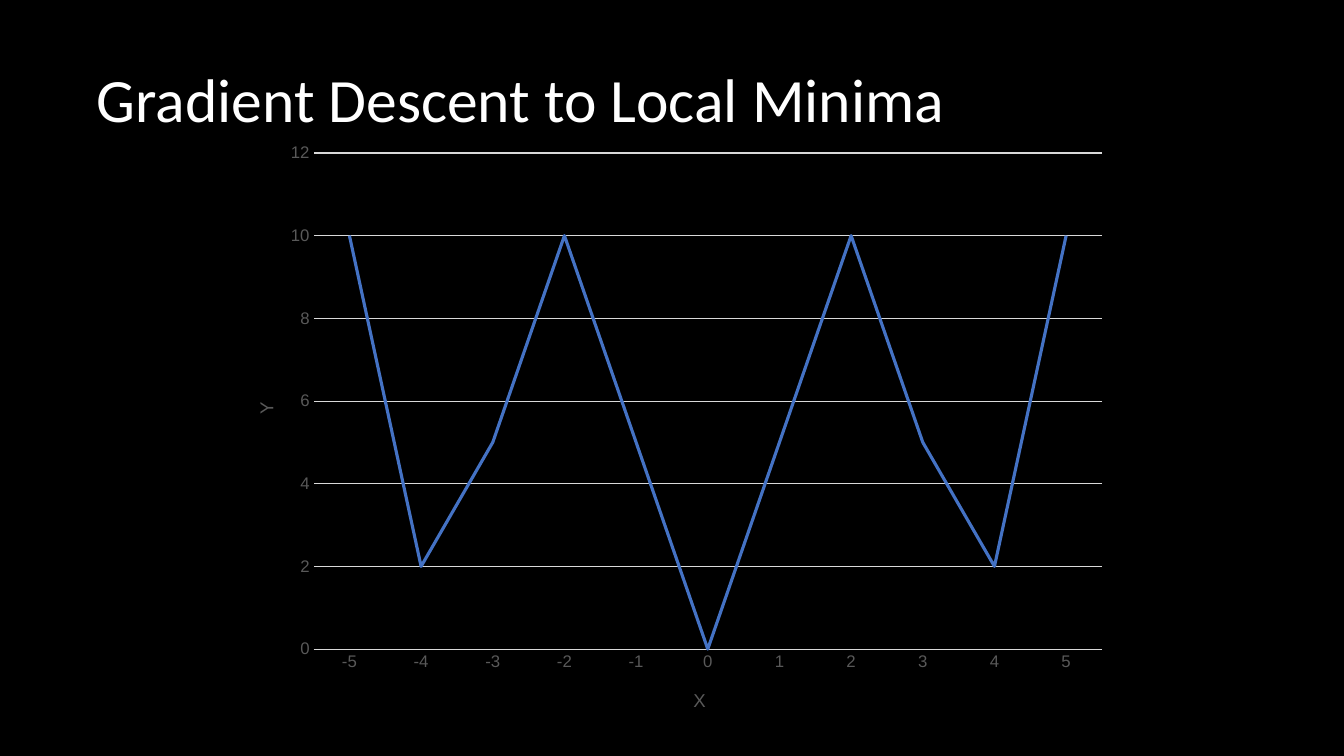
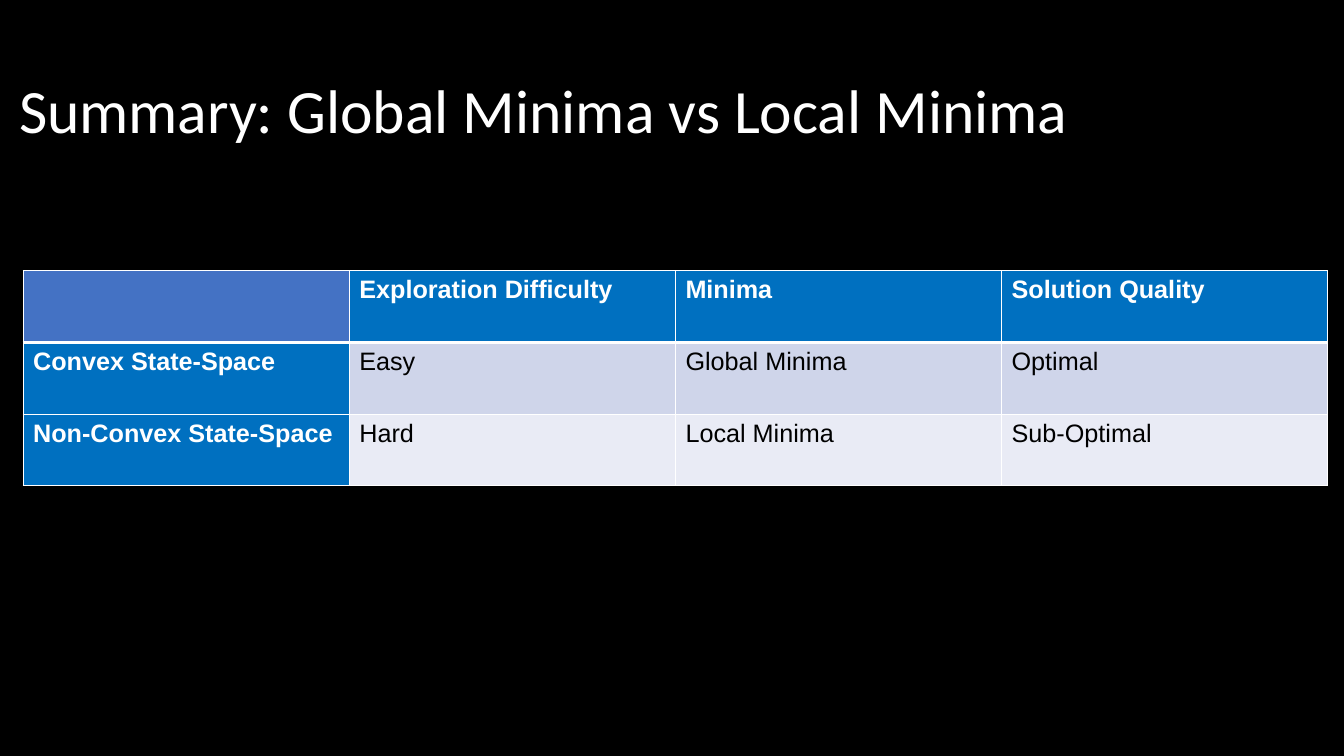
"""Builds two dark slides on local and global minima: a line chart and a table."""
import dataclasses

import lxml.etree
import pptx
import pptx.chart.data
import pptx.dml.color
import pptx.enum.chart
import pptx.enum.text
import pptx.oxml
import pptx.oxml.ns
import pptx.util

Pt = pptx.util.Pt
qn = pptx.oxml.ns.qn


@dataclasses.dataclass(frozen=True)
class Theme:
    background: str = "000000"
    light: str = "FFFFFF"
    dark: str = "000000"
    blue: str = "4472C4"
    header: str = "0070C0"
    bands: tuple = ("CFD5EA", "E9EBF5")
    axis_text: str = "595959"
    grid: str = "D9D9D9"
    title_font: str = "Calibri"
    body_font: str = "Arial"
    title_size: float = 44
    table_size: float = 18
    axis_title_size: float = 13.3
    tick_size: float = 12


def rgb(color):
    return pptx.dml.color.RGBColor.from_string(color)


def set_font(font, name, size, color, bold=False):
    font.name = name
    font.size = Pt(size)
    font.bold = bold
    font.color.rgb = rgb(color)


def set_text(tf, text, *, font, size, color, bold=False, spacing=None):
    p = tf.paragraphs[0]
    p.line_spacing = spacing
    r = p.add_run()
    r.text = text
    set_font(r.font, font, size, color, bold)


def set_line(line, color, width):
    line.color.rgb = rgb(color)
    line.width = Pt(width)


def set_layout(element, index, **values):
    for old in element.findall(qn("c:layout")):
        element.remove(old)
    layout = lxml.etree.Element(qn("c:layout"))
    manual = lxml.etree.SubElement(layout, qn("c:manualLayout"))
    for tag, value in values.items():
        lxml.etree.SubElement(manual, qn(f"c:{tag}")).set("val", str(value))
    element.insert(index, layout)


def set_border(cell, side, color, width):
    tcPr = cell._tc.get_or_add_tcPr()
    ln = lxml.etree.SubElement(tcPr, qn(f"a:ln{side}"), w=str(Pt(width)))
    fill = lxml.etree.SubElement(ln, qn("a:solidFill"))
    lxml.etree.SubElement(fill, qn("a:srgbClr"), val=color)


class Deck:
    def __init__(self, theme):
        self.theme = theme
        self.prs = pptx.Presentation()
        self.prs.slide_width, self.prs.slide_height = Pt(960), Pt(540)
        self.s = None

    def slide(self, title, left, top, width, height=104.4):
        t = self.theme
        self.s = self.prs.slides.add_slide(self.prs.slide_layouts[6])
        self.s.background.fill.solid()
        self.s.background.fill.fore_color.rgb = rgb(t.background)
        sp = self.s.shapes.add_textbox(Pt(left), Pt(top), Pt(width), Pt(height))
        tf = sp.text_frame
        tf.word_wrap = True
        tf.vertical_anchor = pptx.enum.text.MSO_ANCHOR.MIDDLE
        set_text(tf, title, font=t.title_font, size=t.title_size,
                 color=t.light, spacing=0.9)

    def axis(self, axis, title, x, y):
        t = self.theme
        set_text(axis.axis_title.text_frame, title, font=t.body_font,
                 size=t.axis_title_size, color=t.axis_text)
        set_layout(axis.axis_title._element, 1,
                   xMode="edge", yMode="edge", x=x, y=y)
        axis.major_tick_mark = pptx.enum.chart.XL_TICK_MARK.NONE
        axis.minor_tick_mark = pptx.enum.chart.XL_TICK_MARK.NONE
        set_font(axis.tick_labels.font, t.body_font, t.tick_size, t.axis_text)

    def line_chart(self, left, top, width, height, categories, values):
        t = self.theme
        data = pptx.chart.data.CategoryChartData()
        data.categories = categories
        data.add_series("Series 1", values)
        chart = self.s.shapes.add_chart(
            pptx.enum.chart.XL_CHART_TYPE.LINE,
            Pt(left), Pt(top), Pt(width), Pt(height), data).chart
        chart.has_title = False
        chart.has_legend = False
        set_font(chart.font, t.body_font, 10, t.dark)
        set_layout(chart._chartSpace.chart.plotArea, 0, layoutTarget="inner",
                   xMode="edge", yMode="edge", x=0.1, y=0.03, w=0.88, h=0.83)
        chart.plots[0].vary_by_categories = False
        series = chart.plots[0].series[0]
        series.smooth = False
        set_line(series.format.line, t.blue, 2.25)

        self.axis(chart.category_axis, "X", 0.52, 0.92)
        set_line(chart.category_axis.format.line, t.grid, 0.75)

        value_axis = chart.value_axis
        self.axis(value_axis, "Y", 0.03, 0.44)
        value_axis.minimum_scale, value_axis.maximum_scale = 0, 12
        value_axis.major_unit = 2
        value_axis.format.line.fill.background()
        value_axis.has_major_gridlines = True
        set_line(value_axis.major_gridlines.format.line, t.grid, 0.75)

    def table(self, left, top, width, height, rows):
        t = self.theme
        table = self.s.shapes.add_table(
            len(rows), len(rows[0]), Pt(left), Pt(top), Pt(width), Pt(height)).table
        table.first_row = False
        table.horz_banding = False
        for i, row in enumerate(rows):
            for j, text in enumerate(row):
                cell = table.cell(i, j)
                heading = i == 0 or j == 0
                borders = {"L": 1, "R": 1, "T": 3 if i == 1 else 1,
                           "B": 3 if i == 0 else 1}
                for side, weight in borders.items():
                    set_border(cell, side, t.light, weight)
                fill = t.header if heading else t.bands[(i - 1) % 2]
                cell.fill.solid()
                cell.fill.fore_color.rgb = rgb(fill if text else t.blue)
                if text:
                    set_text(cell.text_frame, text, font=t.body_font,
                             size=t.table_size, bold=heading,
                             color=t.light if heading else t.dark)


def main():
    deck = Deck(Theme())

    deck.slide("Gradient Descent to Local Minima", 62, 21, 828)
    deck.line_chart(160, 96.5, 640, 427, [str(x) for x in range(-5, 6)],
                    [10, 2, 5, 10, 5, 0, 5, 10, 5, 2, 10])

    deck.slide("Summary: Global Minima vs Local Minima", 6.5, 28.8, 888)
    deck.table(16.5, 193.5, 932, 153.6, [
        ["", "Exploration Difficulty", "Minima", "Solution Quality"],
        ["Convex State-Space", "Easy", "Global Minima", "Optimal"],
        ["Non-Convex State-Space", "Hard", "Local Minima", "Sub-Optimal"],
    ])

    deck.prs.save("out.pptx")


if __name__ == "__main__":
    main()
